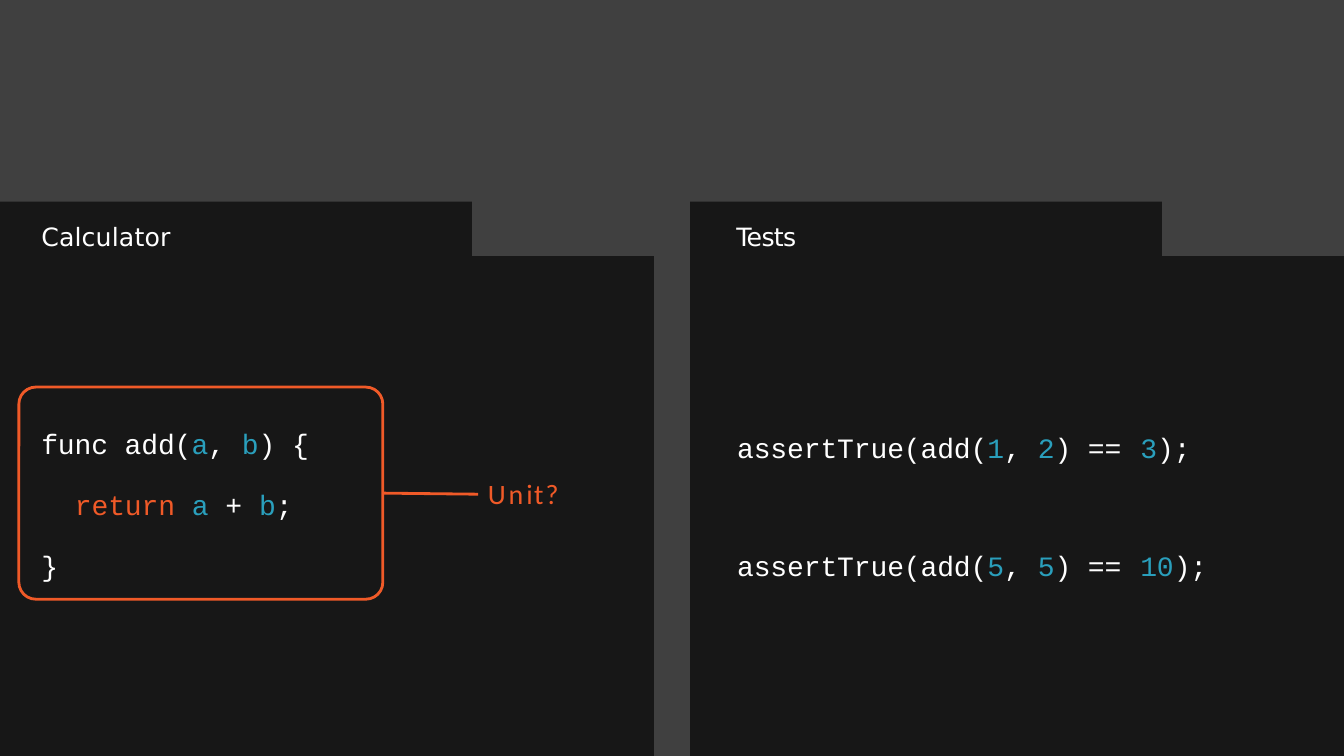
"""Build the slide that asks what a unit is, with calculator code beside its tests."""
from dataclasses import dataclass

from lxml import etree
from pptx import Presentation
from pptx.dml.color import RGBColor
from pptx.enum import shapes, text
from pptx.oxml import ns
from pptx.util import Pt

COLORS = {
    "background": "404040",
    "folder": "171717",
    "plain": "FFFFFF",
    "value": "2A9FBC",
    "accent": "F05A28",
}
CODE_FONT, LABEL_FONT, NOTE_FONT = "Courier New", "DejaVu Sans", "Calibri"
FOLDER_TOP, FOLDER_WIDTH, FOLDER_HEIGHT = 144, 467, 396
TAB_WIDTH, TAB_HEIGHT = 337, 39


@dataclass
class Piece:
    text: str
    color: str = "plain"
    spacing: float = -0.1


@dataclass
class Line:
    pieces: list[Piece]
    space_before: float = 1
    indent: float = 0
    tab_stop: float = 0


@dataclass
class TextBlock:
    left: float
    top: float
    width: float
    height: float
    lines: list[Line]
    font: str = CODE_FONT
    size: float = 20
    inset_left: float = 0
    inset_top: float = 1


@dataclass
class Folder:
    left: float
    label: Piece
    inset: float


def rgb(name: str) -> RGBColor:
    return RGBColor.from_string(COLORS[name])


def add_line(paragraph, line: Line, font: str, size: float) -> None:
    paragraph.alignment = text.PP_ALIGN.LEFT
    paragraph.space_before = Pt(line.space_before)
    properties = paragraph._p.get_or_add_pPr()
    properties.set("marL", str(Pt(line.indent)))
    properties.set("indent", "0")
    if line.tab_stop:
        tabs = etree.SubElement(properties, ns.qn("a:tabLst"))
        etree.SubElement(tabs, ns.qn("a:tab"), pos=str(Pt(line.tab_stop)), algn="l")
    for piece in line.pieces:
        run = paragraph.add_run()
        run.text = piece.text
        run.font.name = font
        run.font.size = Pt(size)
        run.font.color.rgb = rgb(piece.color)
        run._r.get_or_add_rPr().set("spc", str(round(piece.spacing * 100)))


def fill_text(shape, block: TextBlock) -> None:
    shape.left, shape.top = Pt(block.left), Pt(block.top)
    shape.width, shape.height = Pt(block.width), Pt(block.height)
    frame = shape.text_frame
    frame.word_wrap = True
    frame.auto_size = text.MSO_AUTO_SIZE.NONE
    frame.vertical_anchor = text.MSO_ANCHOR.TOP
    frame.margin_left, frame.margin_top = Pt(block.inset_left), Pt(block.inset_top)
    frame.margin_right = frame.margin_bottom = 0
    for index, line in enumerate(block.lines):
        paragraph = frame.add_paragraph() if index else frame.paragraphs[0]
        add_line(paragraph, line, block.font, block.size)


def add_text(slide, block: TextBlock) -> None:
    fill_text(slide.shapes.add_textbox(0, 0, 0, 0), block)


def add_folder(slide, folder: Folder) -> None:
    left, right = folder.left, folder.left + FOLDER_WIDTH
    shoulder, bottom = FOLDER_TOP + TAB_HEIGHT, FOLDER_TOP + FOLDER_HEIGHT
    tab_right = left + TAB_WIDTH
    builder = slide.shapes.build_freeform(left, FOLDER_TOP, scale=Pt(1))
    builder.add_line_segments([
        (tab_right, FOLDER_TOP), (tab_right, shoulder), (right, shoulder),
        (right, bottom), (left, bottom),
    ])
    shape = builder.convert_to_shape()
    shape.shadow.inherit = False
    shape.fill.solid()
    shape.fill.fore_color.rgb = rgb("folder")
    shape.line.fill.background()


def label_block(folder: Folder) -> TextBlock:
    return TextBlock(folder.left, FOLDER_TOP, TAB_WIDTH, TAB_HEIGHT,
                     [Line([folder.label], 0)], LABEL_FONT, 18, folder.inset, 14)


def assertion(top: float, first: str, second: str, total: str) -> TextBlock:
    pieces = [
        Piece("assertTrue(add("), Piece(first, "value"), Piece(", "),
        Piece(second, "value"), Piece(") ==\t"), Piece(total, "value"), Piece(");"),
    ]
    return TextBlock(526.5, top, 345, 26, [Line(pieces, tab_stop=288)])


def add_unit_callout(slide) -> None:
    frame = slide.shapes.add_shape(shapes.MSO_SHAPE.ROUNDED_RECTANGLE,
                                   Pt(13.5), Pt(276.5), Pt(260), Pt(151.5))
    frame.adjustments[0] = 0.08
    frame.shadow.inherit = False
    frame.fill.background()
    pointer = slide.shapes.add_connector(shapes.MSO_CONNECTOR.STRAIGHT,
                                         Pt(273.5), Pt(352), Pt(341.5), Pt(353))
    pointer.begin_connect(frame, 3)
    etree.SubElement(pointer._element.spPr, ns.qn("a:effectLst"))
    for outline in (frame.line, pointer.line):
        outline.color.rgb = rgb("accent")
        outline.width = Pt(2)
    letters = [Piece("Un", "accent", 2), Piece("i", "accent", 1.1),
               Piece("t", "accent", 1.5), Piece("?", "accent", 1.6)]
    add_text(slide, TextBlock(348.5, 339, 60, 26, [Line(letters)], NOTE_FONT))


def main() -> None:
    presentation = Presentation()
    presentation.slide_width, presentation.slide_height = Pt(960), Pt(540)
    slide = presentation.slides.add_slide(presentation.slide_layouts[5])
    slide.background.fill.solid()
    slide.background.fill.fore_color.rgb = rgb("background")

    calculator = Folder(0, Piece("Calculator", spacing=0.1), 29.5)
    tests = Folder(493, Piece("Tests", spacing=-0.5), 33)
    for folder in (calculator, tests):
        add_folder(slide, folder)
    title = slide.shapes.title
    slide.shapes._spTree.append(title._element)
    fill_text(title, label_block(calculator))
    add_text(slide, label_block(tests))

    function = [
        Line([Piece("func add("), Piece("a", "value"), Piece(", "),
              Piece("b", "value"), Piece(") {")]),
        Line([Piece("return ", "accent"), Piece("a ", "value", 0), Piece("+ ", spacing=0),
              Piece("b", "value"), Piece(";")], 19.5, 24),
        Line([Piece("}")], 19.5),
    ]
    add_text(slide, TextBlock(29.5, 303.5, 193, 110, function))
    add_text(slide, assertion(306.5, "1", "2", "3"))
    add_text(slide, assertion(390.5, "5", "5", "10"))
    add_unit_callout(slide)
    presentation.save("out.pptx")


if __name__ == "__main__":
    main()
